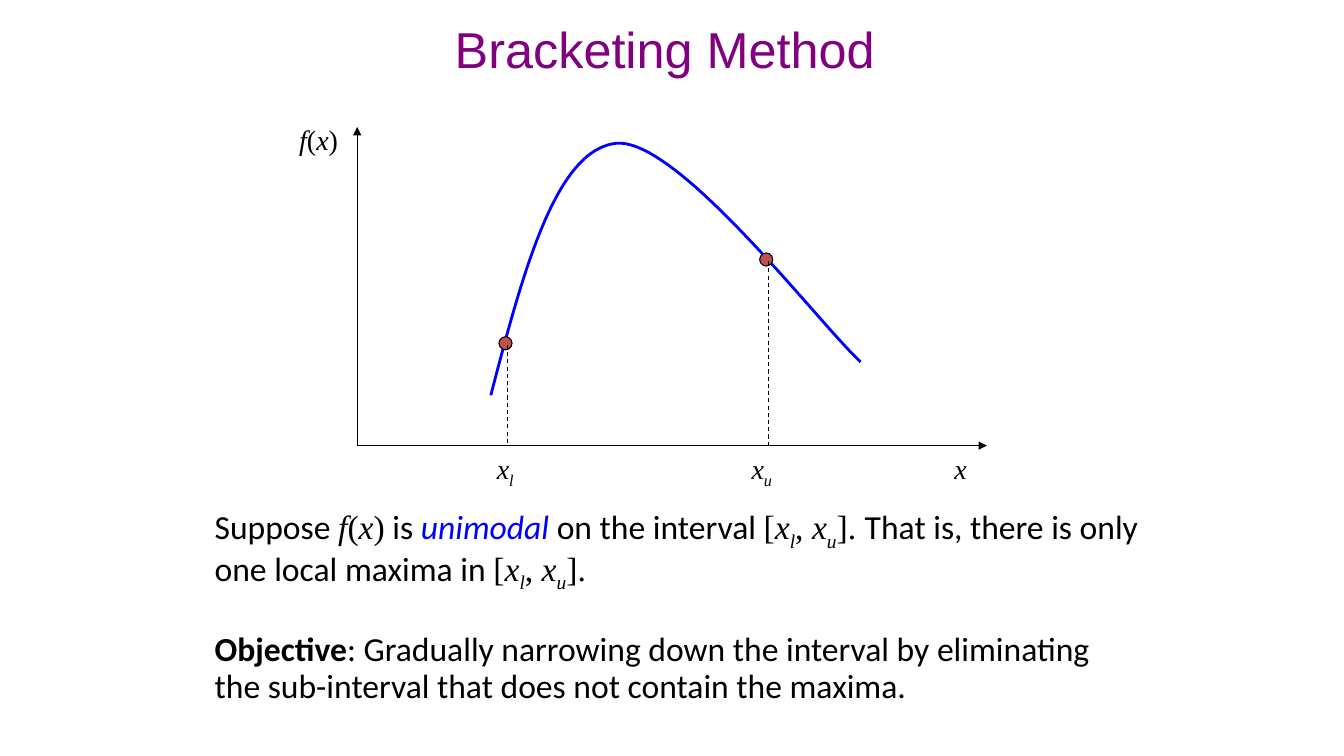
from dataclasses import dataclass

import pptx
import pptx.dml.color
import pptx.enum.dml
import pptx.enum.shapes
import pptx.enum.text
import pptx.oxml
import pptx.oxml.ns
import pptx.util

Cm = pptx.util.Cm
Pt = pptx.util.Pt


@dataclass(frozen=True)
class Theme:
    ink: str = "000000"
    title: str = "800080"
    accent: str = "0000FF"
    dot: str = "C0504D"
    title_font: str = "Arial"
    body_font: str = "Calibri"
    math_font: str = "Times New Roman"
    title_size: int = 36
    body_size: int = 24
    label_size: int = 20
    thin: float = 0.75
    thick: float = 2


@dataclass(frozen=True)
class Box:
    left: float
    top: float
    width: float
    height: float

    def inner(self, x, y, width, height):
        return Box(self.left + x, self.top + y, width, height)

    def lengths(self):
        return [Cm(value) for value in (self.left, self.top, self.width, self.height)]


THEME = Theme()
F_OF_X = [("f", "math"), ("(", "upright"), ("x", "math"), (")", "upright")]
X_LOWER = [("x", "math"), ("l", "subscript")]
X_UPPER = [("x", "math"), ("u", "subscript")]
INTERVAL = [("[", "upright"), *X_LOWER, (", ", "upright"), *X_UPPER]


def rgb(value):
    return pptx.dml.color.RGBColor.from_string(value)


def add_runs(paragraph, pieces, size):
    """Add (text, style) pieces; math, upright and subscript use the formula font."""
    for text, style in pieces:
        run = paragraph.add_run()
        run.text = text
        font = run.font
        font.size = Pt(size)
        font.name = THEME.math_font if style in ("math", "upright", "subscript") else THEME.body_font
        font.italic = style in ("math", "subscript", "emphasis")
        font.bold = style == "bold"
        font.color.rgb = rgb(THEME.accent if style == "emphasis" else THEME.ink)
        if style == "subscript":
            run._r.get_or_add_rPr().set("baseline", "-25000")


def add_text_frame(slide, box):
    frame = slide.shapes.add_textbox(*box.lengths()).text_frame
    frame.word_wrap = True
    return frame


def add_title(slide, box, text):
    frame = add_text_frame(slide, box)
    frame.vertical_anchor = pptx.enum.text.MSO_ANCHOR.MIDDLE
    paragraph = frame.paragraphs[0]
    paragraph.alignment = pptx.enum.text.PP_ALIGN.CENTER
    run = paragraph.add_run()
    run.text = text
    run.font.name = THEME.title_font
    run.font.size = Pt(THEME.title_size)
    run.font.color.rgb = rgb(THEME.title)


def add_line(slide, start, end, arrow=False, dashed=False):
    connector = slide.shapes.add_connector(
        pptx.enum.shapes.MSO_CONNECTOR.STRAIGHT, *[Cm(value) for value in (*start, *end)])
    connector.line.color.rgb = rgb(THEME.ink)
    connector.line.width = Pt(THEME.thin)
    if dashed:
        connector.line.dash_style = pptx.enum.dml.MSO_LINE.DASH
    if arrow:
        tail = pptx.oxml.parse_xml(
            f'<a:tailEnd {pptx.oxml.ns.nsdecls("a")} type="triangle"/>')
        connector.line._get_or_add_ln().append(tail)
    properties = connector._element.spPr
    properties.append(pptx.oxml.parse_xml(f'<a:effectLst {pptx.oxml.ns.nsdecls("a")}/>'))


def bezier_points(controls, steps=40):
    """Points along one cubic curve, without its start."""
    for step in range(1, steps + 1):
        t = step / steps
        weights = ((1 - t) ** 3, 3 * t * (1 - t) ** 2, 3 * t ** 2 * (1 - t), t ** 3)
        yield tuple(sum(w * point[axis] for w, point in zip(weights, controls))
                    for axis in (0, 1))


def add_curve(slide, box):
    controls = [(3.37, 6.76), (4.18, 3.66), (5, 0.56), (6.54, 0.41),
                (8.09, 0.28), (11.68, 5), (12.69, 5.92)]
    points = [controls[0], *bezier_points(controls[:4]), *bezier_points(controls[3:])]
    places = [(Cm(box.left + x), Cm(box.top + y)) for x, y in points]
    builder = slide.shapes.build_freeform(*places[0])
    builder.add_line_segments(places[1:], close=False)
    curve = builder.convert_to_shape()
    curve.shadow.inherit = False
    curve.fill.background()
    curve.line.color.rgb = rgb(THEME.accent)
    curve.line.width = Pt(THEME.thick)


def add_dot(slide, box):
    dot = slide.shapes.add_shape(pptx.enum.shapes.MSO_SHAPE.OVAL, *box.lengths())
    dot.shadow.inherit = False
    dot.fill.solid()
    dot.fill.fore_color.rgb = rgb(THEME.dot)
    dot.line.color.rgb = rgb(THEME.ink)
    dot.line.width = Pt(THEME.thin)


def add_graph(slide, box):
    """Axes along the left and bottom of the box, the curve, its bounds and labels."""
    bottom = box.top + box.height
    origin = (box.left, bottom)
    for tip in ((box.left + box.width, bottom), (box.left, box.top)):
        add_line(slide, origin, tip, arrow=True)
    add_curve(slide, box)

    diameter = 0.33
    for x, y in ((3.74, 5.45), (10.31, 3.34)):
        add_dot(slide, box.inner(x - diameter / 2, y - diameter / 2, diameter, diameter))
        foot = box.left + x + 0.05
        add_line(slide, (foot, box.top + y + 0.04), (foot, bottom), dashed=True)

    below = box.height + 0.03
    labels = ((3.27, below, X_LOWER), (9.69, below, X_UPPER),
              (14.8, below, [("x", "math")]), (-1.71, -0.23, F_OF_X))
    for x, y, pieces in labels:
        frame = add_text_frame(slide, box.inner(x, y, 1.6, 1.09))
        add_runs(frame.paragraphs[0], pieces, THEME.label_size)


def add_explanation(slide, box):
    frame = add_text_frame(slide, box)
    suppose = [("Suppose ", "plain"), *F_OF_X, (" is ", "plain"),
               ("unimodal", "emphasis"), (" on the interval ", "plain"),
               *INTERVAL, ("]. ", "upright"),
               ("That is, there is only one local maxima in ", "plain"),
               *INTERVAL, ("].", "upright")]
    objective = [("Objective", "bold"),
                 (": Gradually narrowing down the interval by eliminating "
                  "the sub-interval that does not contain the maxima.", "plain")]
    for paragraph, pieces, space in ((frame.paragraphs[0], suppose, 0),
                                     (frame.add_paragraph(), objective, 31)):
        paragraph.line_spacing = 0.9
        paragraph.space_before = Pt(space)
        add_runs(paragraph, pieces, THEME.body_size)


def main():
    presentation = pptx.Presentation()
    presentation.slide_width = Cm(33.87)
    presentation.slide_height = Cm(19.05)
    slide = presentation.slides.add_slide(presentation.slide_layouts[6])
    add_title(slide, Box(5.54, 0.53, 22.43, 1.4), "Bracketing Method")
    add_graph(slide, Box(9, 3.2, 15.87, 8.03))
    add_explanation(slide, Box(5.16, 12.65, 23.8, 5))
    presentation.save("out.pptx")


if __name__ == "__main__":
    main()
